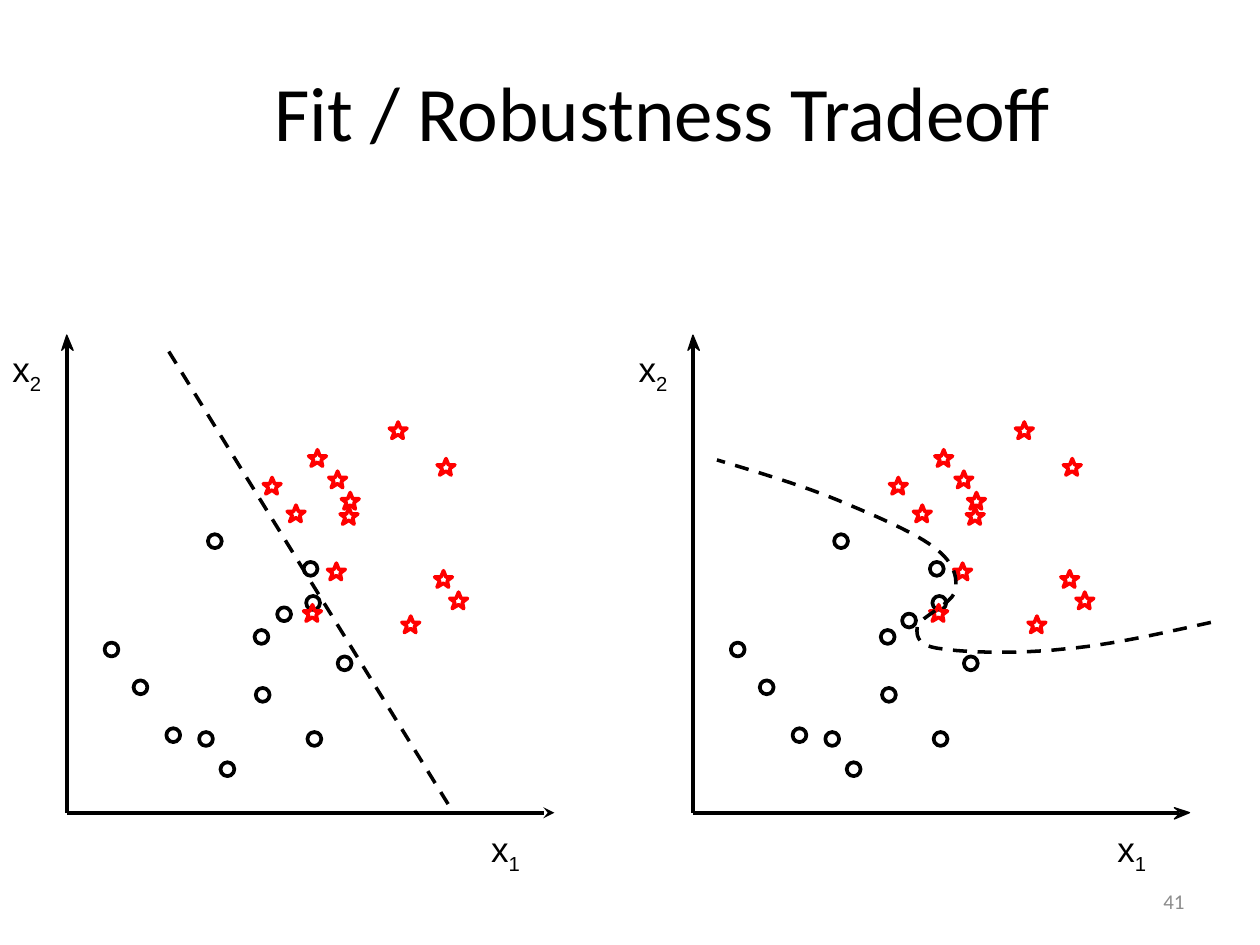
import dataclasses
import typing

import pptx
import pptx.dml.color
import pptx.enum.dml
import pptx.enum.shapes
import pptx.enum.text
import pptx.oxml
import pptx.util
from pptx.util import Inches

Point = typing.Tuple[float, float]

BLACK, WHITE, RED, GREY = "000000", "FFFFFF", "FF0000", "8C8C8C"
DASH = pptx.enum.dml.MSO_LINE.DASH
ALIGN = pptx.enum.text.PP_ALIGN
A_NS = 'xmlns:a="http://schemas.openxmlformats.org/drawingml/2006/main"'
DOT = 0.11
STAR = [(0, 0.05), (0.05, 0.05), (0.07, 0), (0.09, 0.05), (0.14, 0.05),
        (0.1, 0.08), (0.11, 0.13), (0.07, 0.1), (0.02, 0.13), (0.04, 0.08)]
HEAD_RIGHT = [(-0.12, -0.04), (0, 0), (-0.12, 0.05), (-0.07, 0)]
HEAD_UP = [(-0.04, 0.12), (0, 0), (0.05, 0.12), (0, 0.08)]
CIRCLES = [(1.75, 6.05), (1.58, 5.81), (2.44, 5.81), (1.32, 5.78),
           (1.06, 5.4), (0.83, 5.1), (2.03, 5.46), (2.43, 4.73),
           (2.68, 5.21), (2.41, 4.46), (2.02, 5), (1.65, 4.24)]
STARS = [(2.41, 4.8), (3.45, 4.53), (3.19, 4.89), (2.28, 4.01), (3.57, 4.7),
         (2.61, 3.74), (2.6, 4.47), (2.7, 4.03), (2.09, 3.79), (2.45, 3.57),
         (3.09, 3.35), (2.71, 3.91), (3.47, 3.64)]
CURVE = [(9.61, 4.94),
         (9.2, 5.03), (8.81, 5.12), (8.45, 5.15),
         (8.1, 5.19), (7.67, 5.18), (7.48, 5.15),
         (7.28, 5.13), (7.27, 5.05), (7.28, 4.97),
         (7.3, 4.9), (7.56, 4.79), (7.58, 4.69),
         (7.6, 4.59), (7.58, 4.47), (7.42, 4.35),
         (7.27, 4.23), (6.94, 4.09), (6.65, 3.97),
         (6.36, 3.85), (6.02, 3.75), (5.69, 3.65)]


@dataclasses.dataclass
class Plot:
    dx: float
    axis_end: float
    near_circle: Point
    line_arrow: bool


@dataclasses.dataclass
class Label:
    left: float
    top: float
    width: float
    height: float
    size: float
    font: str
    color: str = BLACK
    align: typing.Any = ALIGN.LEFT
    anchor: typing.Any = pptx.enum.text.MSO_ANCHOR.TOP


def rgb(color: str) -> pptx.dml.color.RGBColor:
    return pptx.dml.color.RGBColor.from_string(color)


def apply(obj: typing.Any, formats: typing.Dict[str, typing.Any]) -> None:
    for name, value in formats.items():
        setattr(obj, name, value)


def style_fill(sp: typing.Any, color: str) -> None:
    sp.fill.solid()
    sp.fill.fore_color.rgb = rgb(color)


def style_line(sp: typing.Any, color: str, width: float, dash: typing.Any = None) -> None:
    sp.line.color.rgb = rgb(color)
    apply(sp.line, {"width": pptx.util.Pt(width), "dash_style": dash})


def add_circle(shapes: typing.Any, x: float, y: float) -> None:
    sp = shapes.add_shape(pptx.enum.shapes.MSO_SHAPE.OVAL,
                          Inches(x), Inches(y), Inches(DOT), Inches(DOT))
    sp.shadow.inherit = False
    style_fill(sp, WHITE)
    style_line(sp, BLACK, 2.13)


def add_outline(shapes: typing.Any, points: typing.List[Point], close: bool) -> typing.Any:
    corners = [(Inches(x), Inches(y)) for x, y in points]
    fb = shapes.build_freeform(*corners[0])
    fb.add_line_segments(corners[1:], close=close)
    sp = fb.convert_to_shape()
    sp.shadow.inherit = False
    sp.fill.background()
    return sp


def shifted(points: typing.List[Point], x: float, y: float) -> typing.List[Point]:
    return [(x + dx, y + dy) for dx, dy in points]


def add_head(shapes: typing.Any, points: typing.List[Point], tip: Point) -> None:
    sp = add_outline(shapes, shifted(points, *tip), True)
    style_fill(sp, BLACK)
    style_line(sp, BLACK, 0)


def add_line(shapes: typing.Any, start: Point, end: Point, width: float,
             dash: typing.Any = None, arrow: bool = False) -> None:
    cx = shapes.add_connector(pptx.enum.shapes.MSO_CONNECTOR.STRAIGHT,
                              *(Inches(v) for v in start + end))
    style_line(cx, BLACK, width, dash)
    if arrow:
        cx.line._get_or_add_ln().append(
            pptx.oxml.parse_xml(f'<a:tailEnd {A_NS} type="stealth"/>'))
    cx._element.spPr.append(pptx.oxml.parse_xml(f"<a:effectLst {A_NS}/>"))


def add_label(shapes: typing.Any, label: Label, text: str, subscript: str = "") -> None:
    box = (label.left, label.top, label.width, label.height)
    tf = shapes.add_textbox(*(Inches(v) for v in box)).text_frame
    apply(tf, {"word_wrap": True, "vertical_anchor": label.anchor})
    p = tf.paragraphs[0]
    p.alignment = label.align
    for part, baseline in ((text, None), (subscript, "-25000")):
        if not part:
            continue
        r = p.add_run()
        r.text = part
        apply(r.font, {"name": label.font, "size": pptx.util.Pt(label.size)})
        r.font.color.rgb = rgb(label.color)
        if baseline:
            r.font._element.set("baseline", baseline)


def add_plot(shapes: typing.Any, plot: Plot) -> None:
    x0, y0 = origin = (plot.dx + 0.53, 6.45)
    for x, y in CIRCLES + [plot.near_circle]:
        add_circle(shapes, plot.dx + x, y)
    for x, y in STARS:
        sp = add_outline(shapes, shifted(STAR, plot.dx + x, y), True)
        style_line(sp, RED, 2.13)
    if plot.line_arrow:
        add_line(shapes, origin, (plot.axis_end, y0), 2.13, arrow=True)
    else:
        add_line(shapes, origin, (plot.axis_end - 0.08, y0), 2.13)
        add_head(shapes, HEAD_RIGHT, (plot.axis_end, y0))
    add_line(shapes, origin, (x0, 2.74), 2.13)
    add_head(shapes, HEAD_UP, (x0, 2.66))
    for left, top, width, sub in ((3.8, 6.52, 0.76, "1"), (0, 2.71, 0.49, "2")):
        add_label(shapes, Label(plot.dx + left, top, width, 0.43, 20, "Arial"), "x", sub)


def bezier_points(nodes: typing.List[Point], steps: int = 12) -> typing.List[Point]:
    points = [nodes[0]]
    for i in range(0, len(nodes) - 1, 3):
        for step in range(1, steps + 1):
            t = step / steps
            weights = ((1 - t) ** 3, 3 * t * (1 - t) ** 2, 3 * t * t * (1 - t), t ** 3)
            x, y = (sum(w * n[k] for w, n in zip(weights, nodes[i:i + 4])) for k in (0, 1))
            points.append((x, y))
    return points


prs = pptx.Presentation()
apply(prs, {"slide_width": Inches(10), "slide_height": Inches(7.5)})
shapes = prs.slides.add_slide(prs.slide_layouts[6]).shapes
middle = pptx.enum.text.MSO_ANCHOR.MIDDLE

add_label(shapes, Label(1.01, 0.25, 8.5, 1.25, 44, "Calibri", align=ALIGN.CENTER,
                        anchor=middle), "Fit / Robustness Tradeoff")
for plot in (Plot(0, 4.4, (2.2, 4.82), True), Plot(4.97, 9.44, (2.19, 4.87), False)):
    add_plot(shapes, plot)
add_line(shapes, (1.34, 2.79), (3.58, 6.42), 2, DASH)
style_line(add_outline(shapes, bezier_points(CURVE), False), BLACK, 2, DASH)
add_label(shapes, Label(7.17, 6.95, 2.33, 0.4, 12, "Calibri", GREY, ALIGN.RIGHT, middle), "41")

prs.save("out.pptx")
